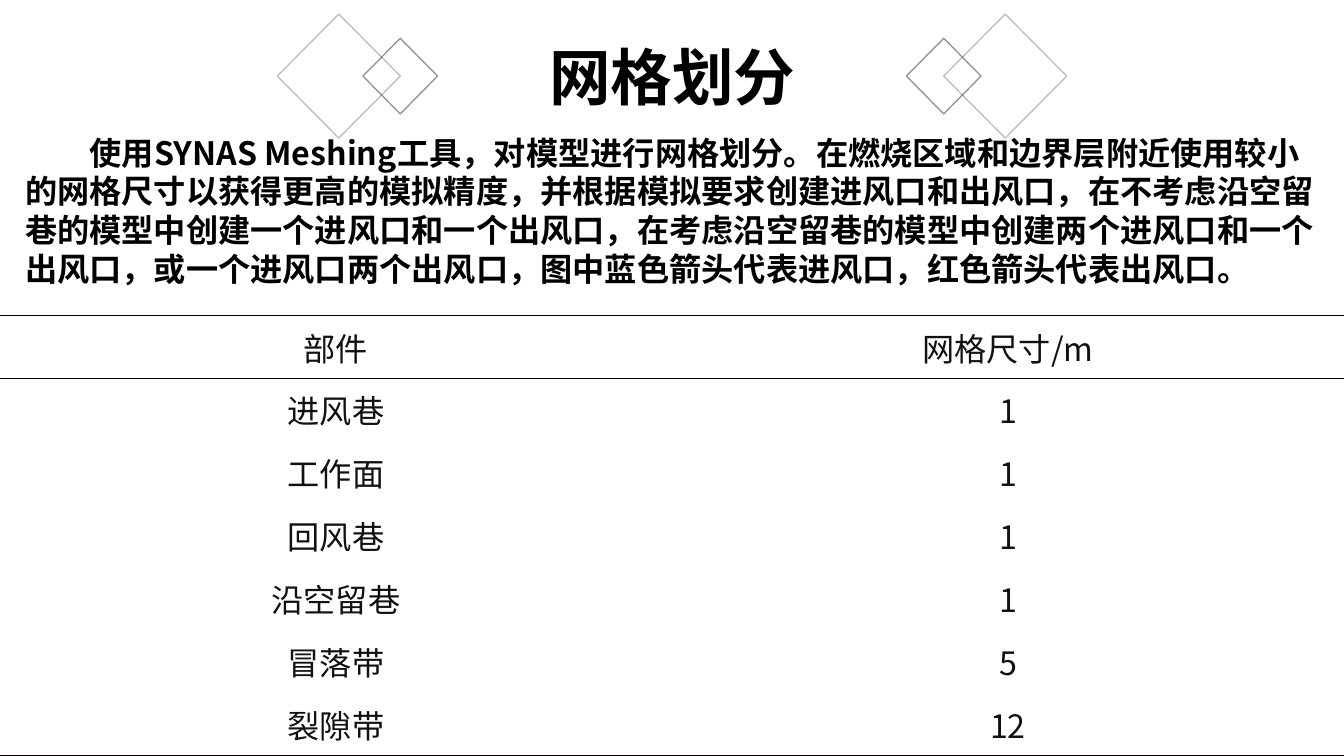
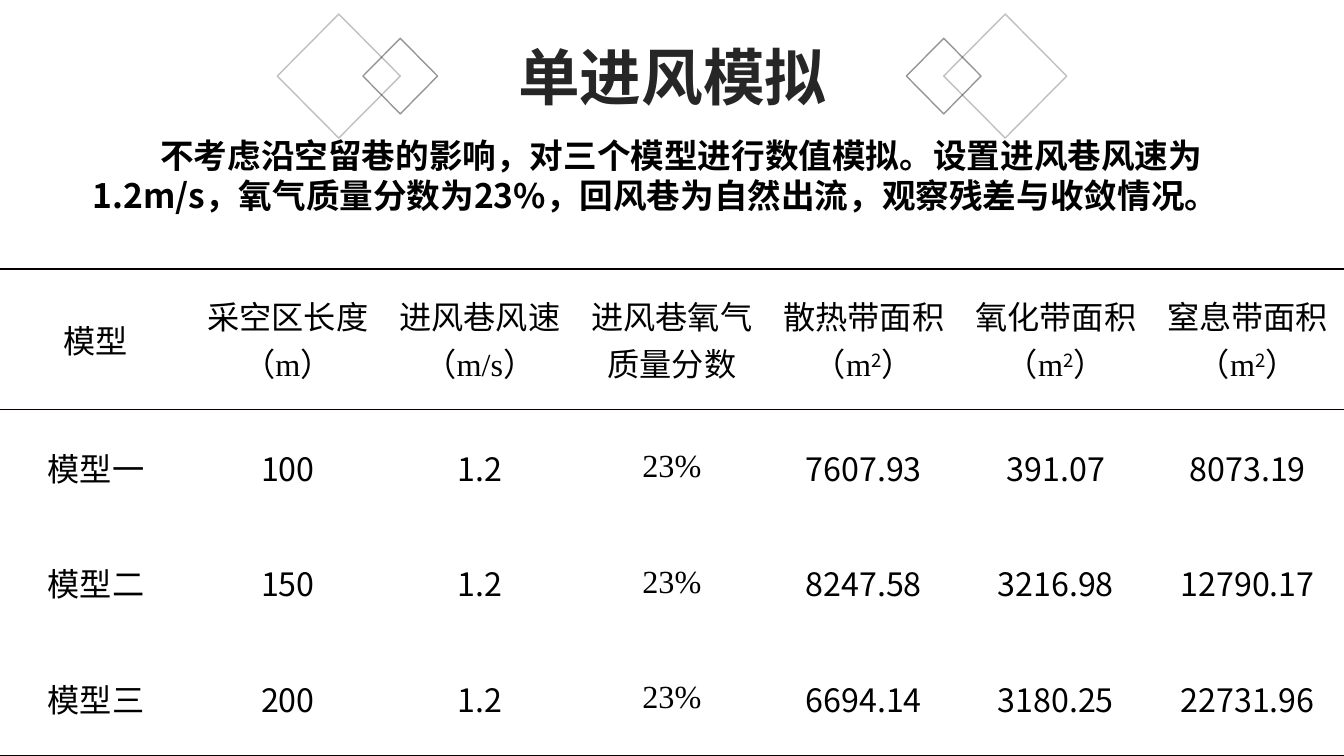
from lxml import etree
from pptx import Presentation
from pptx.dml.color import RGBColor
from pptx.enum.shapes import MSO_SHAPE as Shape
from pptx.enum.text import MSO_ANCHOR as Anchor, PP_ALIGN as Align
from pptx.oxml.ns import qn
from pptx.util import Inches, Pt

SLIDE_W, SLIDE_H = 13.33, 7.5
SANS, ROMAN = "Noto Sans CJK SC", "Times New Roman"
BLACK, RULE, OUTLINE = "000000", "080000", "1C1C1C"
TITLE_BOX = (4.3, 0.34, 4.74, 0.84)
OUTER_RULE, HEADER_RULE = 1.5, 1
# left, top, width, height, opacity in percent
DIAMONDS = [(2.75, 0.14, 1.22, 1.23, 27), (3.6, 0.38, 0.74, 0.75, 46)]

TITLE = {"size": Pt(44), "bold": True}
CELL = {"size": Pt(23), "bold": False}

MESH_ROWS = [
    ["部件", "网格尺寸/m"],
    ["进风巷", "1"],
    ["工作面", "1"],
    ["回风巷", "1"],
    ["沿空留巷", "1"],
    ["冒落带", "5"],
    ["裂隙带", "12"],
]


def with_unit(label, unit, power=""):
    """Header runs: a label with its unit in brackets."""
    runs = [(label + "（", SANS, 0), (unit, ROMAN, 0)]
    if power:
        runs.append((power, SANS, 30))
    return runs + [("）", SANS, 0)]


OXYGEN = [("23%", ROMAN, 0)]
MODEL_ROWS = [
    ["模型", with_unit("采空区长度", "m"), with_unit("进风巷风速", "m/s"), "进风巷氧气质量分数"]
    + [with_unit(zone + "带面积", "m", "2") for zone in ("散热", "氧化", "窒息")],
    ["模型一", "100", "1.2", OXYGEN, "7607.93", "391.07", "8073.19"],
    ["模型二", "150", "1.2", OXYGEN, "8247.58", "3216.98", "12790.17"],
    ["模型三", "200", "1.2", OXYGEN, "6694.14", "3180.25", "22731.96"],
]


def paint(color_format, color):
    color_format.rgb = RGBColor.from_string(color)


def write(paragraph, content, color, style):
    """Add content, a string or a list of (text, font, raise in percent)."""
    runs = [(content, SANS, 0)] if isinstance(content, str) else content
    for text, typeface, raised in runs:
        run = paragraph.add_run()
        run.text = text
        for name, value in {**style, "name": typeface}.items():
            setattr(run.font, name, value)
        paint(run.font.color, color)
        properties = run._r.get_or_add_rPr()
        etree.SubElement(properties, qn("a:ea")).set("typeface", SANS)
        if raised:
            properties.set("baseline", str(raised * 1000))


def add_text(slide, box, content, color, style, align=Align.LEFT, indent=0):
    frame = slide.shapes.add_textbox(*map(Inches, box)).text_frame
    frame.word_wrap = True
    paragraph = frame.paragraphs[0]
    paragraph.alignment = align
    if indent:
        paragraph._p.get_or_add_pPr().set("indent", str(Inches(indent)))
    write(paragraph, content, color, style)


def add_diamonds(slide, mirrored):
    pair = slide.shapes.add_group_shape()
    for left, top, width, height, opacity in DIAMONDS:
        if mirrored:
            left = SLIDE_W - left - width
        diamond = pair.shapes.add_shape(
            Shape.DIAMOND, *map(Inches, (left, top, width, height)))
        diamond.shadow.inherit = False
        diamond.fill.background()
        diamond.line.width = Pt(1)
        paint(diamond.line.color, OUTLINE)
        tint = diamond.line._ln.find(".//" + qn("a:srgbClr"))
        etree.SubElement(tint, qn("a:alpha")).set("val", str(opacity * 1000))


def set_borders(cell, top, bottom):
    """Rule a cell with the given point widths; 0 means no rule."""
    properties = cell._tc.get_or_add_tcPr()
    sides = {"L": 0, "R": 0, "T": top, "B": bottom}
    for place, (side, width) in enumerate(sides.items()):
        line = etree.Element(qn("a:ln" + side), w=str(Pt(width)))
        if width:
            fill = etree.SubElement(line, qn("a:solidFill"))
            etree.SubElement(fill, qn("a:srgbClr")).set("val", RULE)
        else:
            etree.SubElement(line, qn("a:noFill"))
        properties.insert(place, line)


def add_ruled_table(slide, box, rows, color, header_height=None):
    """Three-rule table; rows share the height that the header leaves."""
    height = box[3]
    header_height = header_height or height / len(rows)
    body_height = (height - header_height) / (len(rows) - 1)
    table = slide.shapes.add_table(
        len(rows), len(rows[0]), *map(Inches, box)).table
    table.first_row = table.horz_banding = False
    rules = [OUTER_RULE, HEADER_RULE] + [0] * (len(rows) - 2) + [OUTER_RULE]
    layout = {"vertical_anchor": Anchor.MIDDLE,
              "margin_left": Inches(0.07), "margin_right": Inches(0.07),
              "margin_top": 0, "margin_bottom": 0}
    for r, contents in enumerate(rows):
        table.rows[r].height = Inches(body_height if r else header_height)
        for c, content in enumerate(contents):
            cell = table.cell(r, c)
            for name, value in layout.items():
                setattr(cell, name, value)
            cell.fill.background()
            set_borders(cell, rules[r], rules[r + 1])
            paragraph = cell.text_frame.paragraphs[0]
            paragraph.alignment = Align.CENTER
            write(paragraph, content, color, CELL)


def add_titled_slide(deck, title, color):
    slide = deck.slides.add_slide(deck.slide_layouts[6])
    for mirrored in (True, False):
        add_diamonds(slide, mirrored)
    add_text(slide, TITLE_BOX, title, color, TITLE, Align.CENTER)
    return slide


def add_mesh_slide(deck):
    slide = add_titled_slide(deck, "网格划分", BLACK)
    add_text(
        slide, (0.15, 1.27, 13.03, 1.65),
        "使用SYNAS Meshing工具，对模型进行网格划分。在燃烧区域和边界层附近使用"
        "较小的网格尺寸以获得更高的模拟精度，并根据模拟要求创建进风口和出风口，"
        "在不考虑沿空留巷的模型中创建一个进风口和一个出风口，在考虑沿空留巷的模型中"
        "创建两个进风口和一个出风口，或一个进风口两个出风口，图中蓝色箭头代表进风口，"
        "红色箭头代表出风口。",
        BLACK, {"size": Pt(23), "bold": True}, indent=0.64)
    add_ruled_table(slide, (0, 3.13, SLIDE_W, 4.37), MESH_ROWS, "111111")


def add_simulation_slide(deck):
    slide = add_titled_slide(deck, "单进风模拟", "262626")
    add_text(
        slide, (0.82, 1.29, 11.32, 0.91),
        "不考虑沿空留巷的影响，对三个模型进行数值模拟。设置进风巷风速为1.2m/s，"
        "氧气质量分数为23%，回风巷为自然出流，观察残差与收敛情况。",
        BLACK, {"size": Pt(24), "bold": True}, indent=0.67)
    add_ruled_table(slide, (0, 2.67, SLIDE_W, 4.83), MODEL_ROWS, BLACK,
                    header_height=1.39)


def main():
    deck = Presentation()
    deck.slide_width, deck.slide_height = Inches(SLIDE_W), Inches(SLIDE_H)
    add_mesh_slide(deck)
    add_simulation_slide(deck)
    deck.save("out.pptx")


if __name__ == "__main__":
    main()
